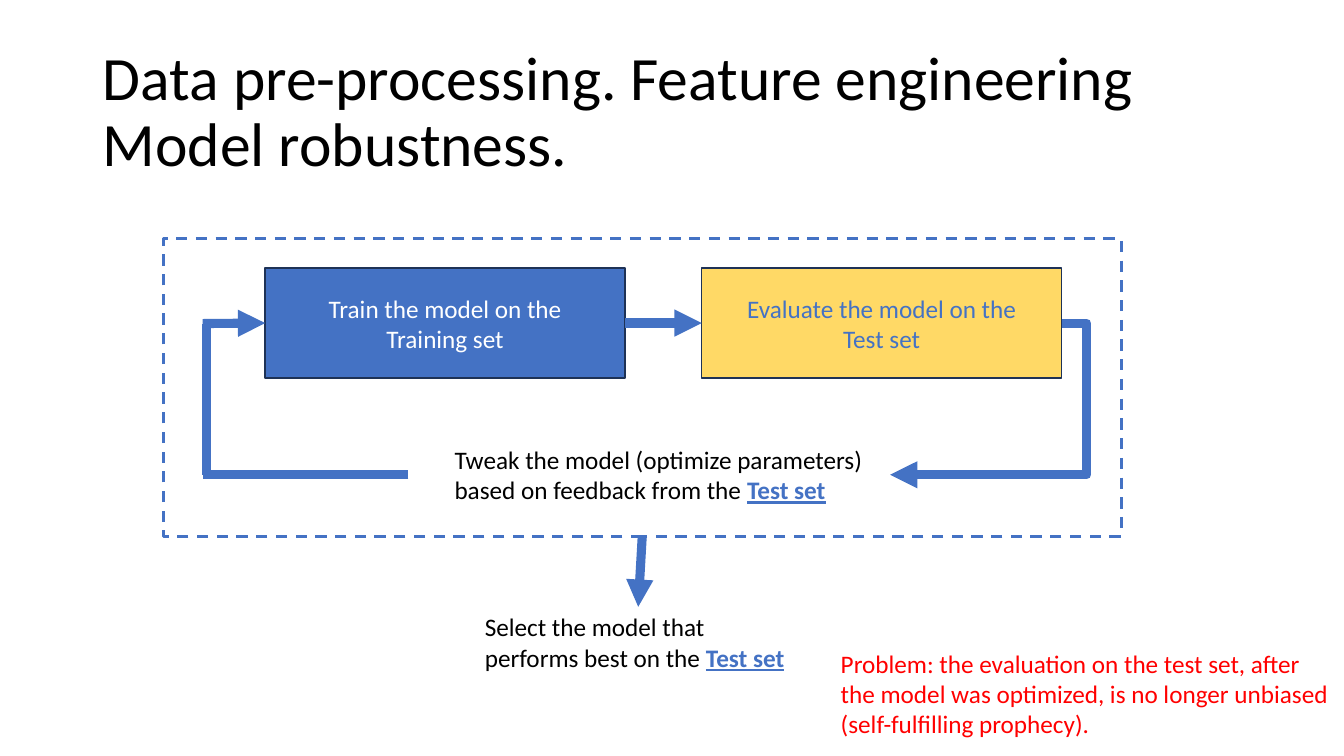
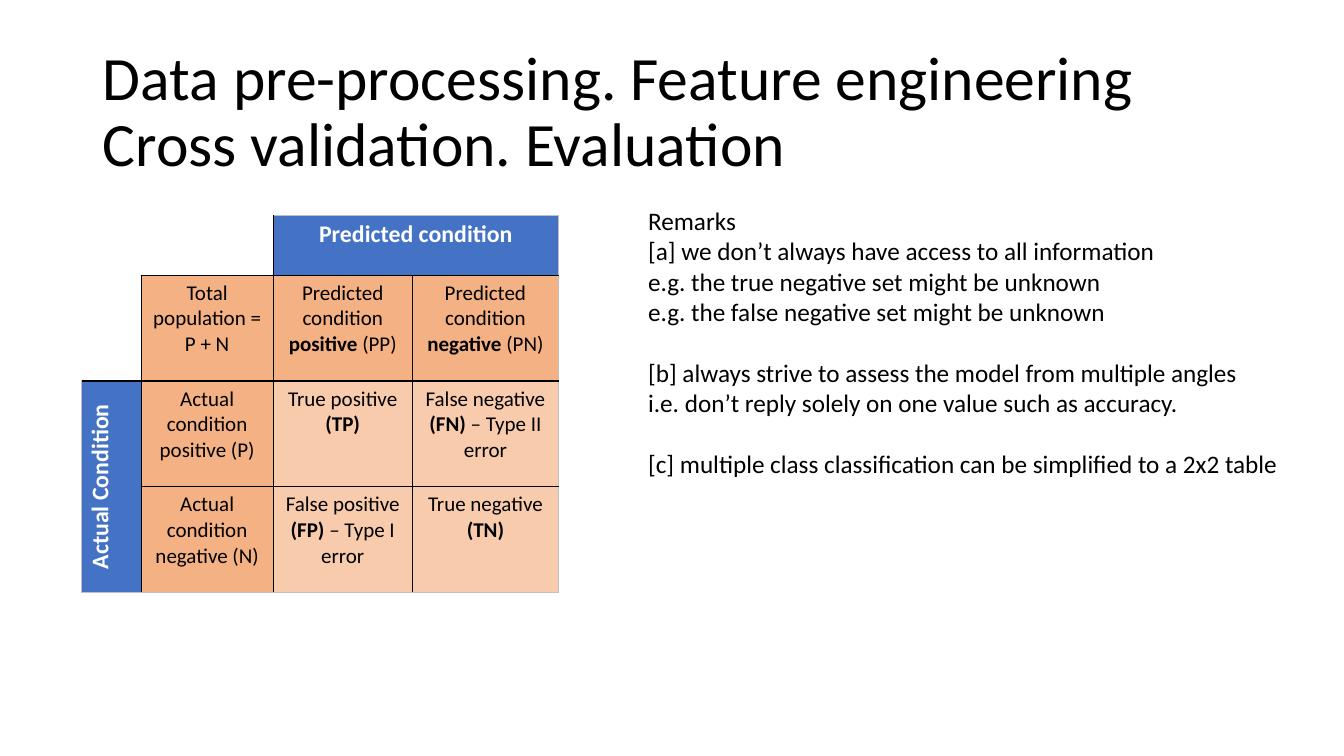
from lxml.etree import SubElement
from pptx import Presentation
from pptx.dml.color import RGBColor
from pptx.enum.dml import MSO_LINE_DASH_STYLE as DASH
from pptx.enum.shapes import MSO_CONNECTOR as CONN, MSO_SHAPE as SHAPE
from pptx.enum.text import MSO_ANCHOR as ANCHOR, MSO_AUTO_SIZE as AUTO, PP_ALIGN as ALIGN
from pptx.oxml.ns import qn
from pptx.util import Inches, Pt

BLACK = RGBColor(0x00, 0x00, 0x00)
WHITE = RGBColor(0xFF, 0xFF, 0xFF)
BLUE = RGBColor(0x44, 0x72, 0xC4)
NAVY = RGBColor(0x1E, 0x32, 0x56)
YELLOW = RGBColor(0xFF, 0xD9, 0x66)
RED = RGBColor(0xFF, 0x00, 0x00)
ORANGE = RGBColor(0xF4, 0xB1, 0x83)
PEACH = RGBColor(0xF8, 0xCB, 0xAD)
GREY = RGBColor(0xBF, 0xBF, 0xBF)

FONT = "Calibri"
BODY_SIZE = 18
TOPIC = "Data pre-processing. Feature engineering"
NO_STYLE = "{2D5ABB26-0587-4C30-8999-92F81FD0307C}"

REMARKS = [
    ["Remarks",
     "[a] we don’t always have access to all information",
     "e.g. the true negative set might be unknown",
     "e.g. the false negative set might be unknown"],
    ["[b] always strive to assess the model from multiple angles",
     "i.e. don’t reply solely on one value such as accuracy."],
    ["[c] multiple class classification can be simplified to a 2x2 table"],
]

# Asterisks enclose the emphasised words.
MATRIX = [
    ["", "", "Predicted condition", ""],
    ["", "Total population = P + N", "Predicted condition *positive* (PP)",
     "Predicted condition *negative* (PN)"],
    ["Actual Condition", "Actual condition positive (P)", "True positive *(TP)*",
     "False negative *(FN)* – Type II error"],
    ["", "Actual condition negative (N)", "False positive *(FP)* – Type I error",
     "True negative *(TN)*"],
]


def style_font(font, size, color, bold=False):
    font.name = FONT
    font.size = Pt(size)
    font.color.rgb = color
    font.bold = bold


def add_marked_runs(p, text, size, color):
    """Split text at asterisks, bold every second part and return those runs."""
    emphasised = []
    for i, part in enumerate(text.split("*")):
        if part:
            r = p.add_run()
            r.text = part
            style_font(r.font, size, color, bold=i % 2 == 1)
            if i % 2:
                emphasised.append(r)
    return emphasised


def add_titled_slide(prs, subject):
    s = prs.slides.add_slide(prs.slide_layouts[5])
    title = s.shapes.title
    title.left, title.top = Inches(0.92), Inches(0.4)
    title.width, title.height = Inches(11.5), Inches(1.45)
    tf = title.text_frame
    tf.vertical_anchor = ANCHOR.MIDDLE
    tf.auto_size = AUTO.NONE
    p = tf.paragraphs[0]
    p.text = f"{TOPIC}\v{subject}"
    p.alignment = ALIGN.LEFT
    p.line_spacing = 0.9
    for r in p.runs:
        style_font(r.font, 44, BLACK)
    return s


def add_textbox(s, x, y, w, h, wrap=True):
    tf = s.shapes.add_textbox(Inches(x), Inches(y), Inches(w), Inches(h)).text_frame
    tf.word_wrap = wrap
    tf.auto_size = AUTO.SHAPE_TO_FIT_TEXT
    return tf


def add_note(s, x, y, w, h, text, color=BLACK):
    p = add_textbox(s, x, y, w, h).paragraphs[0]
    for r in add_marked_runs(p, text, BODY_SIZE, color):
        r.font.underline = True
        r.font.color.rgb = BLUE


def add_rect(s, x, y, w, h, line_color, line_width):
    """Add an unfilled rectangle."""
    sp = s.shapes.add_shape(SHAPE.RECTANGLE, Inches(x), Inches(y), Inches(w), Inches(h))
    sp.shadow.inherit = False
    sp.fill.background()
    sp.line.color.rgb = line_color
    sp.line.width = Pt(line_width)
    return sp


def add_step(s, x, text, fill, color):
    sp = add_rect(s, x, 2.66, 3.57, 1.09, NAVY, 1)
    sp.fill.solid()
    sp.fill.fore_color.rgb = fill
    tf = sp.text_frame
    tf.text = text
    tf.vertical_anchor = ANCHOR.MIDDLE
    for p in tf.paragraphs:
        p.alignment = ALIGN.CENTER
        style_font(p.runs[0].font, BODY_SIZE, color)
    return sp


def add_line(s, start, end, arrow=True, kind=CONN.STRAIGHT):
    line = s.shapes.add_connector(kind, *(Inches(v) for v in start + end))
    line.line.color.rgb = BLUE
    line.line.width = Pt(6.5)
    sp_pr = line._element.spPr
    if arrow:
        SubElement(sp_pr.find(qn("a:ln")), qn("a:tailEnd"), type="triangle")
    SubElement(sp_pr, qn("a:effectLst"))
    return line


def set_bend(elbow, ratio):
    """Place the middle leg of an elbow at a ratio of its width."""
    geometry = elbow._element.spPr.find(qn("a:prstGeom"))
    guides = geometry.find(qn("a:avLst"))
    if guides is None:
        guides = SubElement(geometry, qn("a:avLst"))
    SubElement(guides, qn("a:gd"), name="adj1", fmla=f"val {round(ratio * 100000)}")


def add_borders(cell, colors):
    """Draw the left, right, top and bottom border in the given colours."""
    tc_pr = cell._tc.get_or_add_tcPr()
    for side, color in zip("LRTB", colors):
        ln = SubElement(tc_pr, qn(f"a:ln{side}"), w=str(Pt(1)))
        SubElement(SubElement(ln, qn("a:solidFill")), qn("a:srgbClr"), val=str(color))


def fill_cell(cell, text, fill, size, color, bold=False):
    cell.fill.solid()
    cell.fill.fore_color.rgb = fill
    p = cell.text_frame.paragraphs[0]
    p.alignment = ALIGN.CENTER
    add_marked_runs(p, f"*{text}*" if bold else text, size, color)


def add_confusion_matrix(s):
    widths, heights = [0.59, 1.31, 1.38, 1.45], [0.59, 1.05, 1.05, 1.05]
    rows, cols = len(heights), len(widths)
    frame = s.shapes.add_table(rows, cols, Inches(0.81), Inches(2.14),
                               Inches(sum(widths)), Inches(sum(heights)))
    table = frame.table
    table.first_row = table.horz_banding = False
    table._tbl.tblPr.find(qn("a:tableStyleId")).text = NO_STYLE
    for column, width in zip(table.columns, widths):
        column.width = Inches(width)
    for row, height in zip(table.rows, heights):
        row.height = Inches(height)
    for first, last in [((0, 0), (1, 0)), ((0, 2), (0, 3)), ((2, 0), (3, 0))]:
        table.cell(*first).merge(table.cell(*last))

    for r, texts in enumerate(MATRIX):
        for c, text in enumerate(texts):
            if not text:
                continue
            cell = table.cell(r, c)
            outer = (c == 0, c + cell.span_width == cols,
                     r == 0, r + cell.span_height == rows)
            add_borders(cell, [GREY if edge else BLACK for edge in outer])
            if r == 0 or c == 0:
                fill_cell(cell, text, BLUE, 17, WHITE, bold=True)
                cell.margin_left = cell.margin_right = Inches(0.08)
                cell.margin_top = cell.margin_bottom = Inches(0.04)
            else:
                fill_cell(cell, text, ORANGE if r == 1 or c == 1 else PEACH, 15, BLACK)
    table.cell(2, 0)._tc.get_or_add_tcPr().set("vert", "vert270")


def add_remarks(s):
    tf = add_textbox(s, 6.33, 1.99, 6.46, 2.83, wrap=False)
    p = tf.paragraphs[0]
    for g, group in enumerate(REMARKS):
        for i, text in enumerate(group):
            if g or i:
                p = tf.add_paragraph()
            if g and i == 0:
                p.space_before = Pt(22)
            p.text = text
            style_font(p.runs[0].font, BODY_SIZE, BLACK)


def build_robustness_slide(prs):
    s = add_titled_slide(prs, "Model robustness.")
    train = add_step(s, 2.63, "Train the model on the\nTraining set", BLUE, WHITE)
    evaluate = add_step(s, 6.96, "Evaluate the model on the\nTest set", YELLOW, BLUE)

    step_y, tweak_y = 3.21, 4.71
    forward = add_line(s, (6.2, step_y), (6.96, step_y))
    forward.begin_connect(train, 3)
    forward.end_connect(evaluate, 1)
    feedback = add_line(s, (10.53, step_y), (8.83, tweak_y), kind=CONN.ELBOW)
    feedback.begin_connect(evaluate, 3)
    set_bend(feedback, -0.147)
    add_line(s, (4.05, tweak_y), (2.01, tweak_y), arrow=False)
    add_line(s, (2.05, tweak_y), (2.05, step_y), arrow=False)
    add_line(s, (2.01, step_y), (2.63, step_y)).end_connect(train, 1)
    add_note(s, 4.41, 4.36, 4.26, 0.71,
             "Tweak the model (optimize parameters) based on feedback from the *Test set*")

    loop = add_rect(s, 1.62, 2.37, 9.5, 2.95, BLUE, 2)
    loop.line.dash_style = DASH.DASH
    add_line(s, (6.37, 5.32), (6.33, 6.02)).begin_connect(loop, 2)
    add_note(s, 4.71, 6.02, 3.32, 0.71,
             "Select the model that performs best on the *Test set*")
    add_note(s, 8.24, 6.38, 5.09, 1.01,
             "Problem: the evaluation on the test set, after the model was optimized, "
             "is no longer unbiased (self-fulfilling prophecy).", RED)


def build_evaluation_slide(prs):
    s = add_titled_slide(prs, "Cross validation. Evaluation")
    add_remarks(s)
    add_confusion_matrix(s)


def main():
    prs = Presentation()
    prs.slide_width, prs.slide_height = Inches(13.33), Inches(7.5)
    build_robustness_slide(prs)
    build_evaluation_slide(prs)
    prs.save("out.pptx")


if __name__ == "__main__":
    main()
